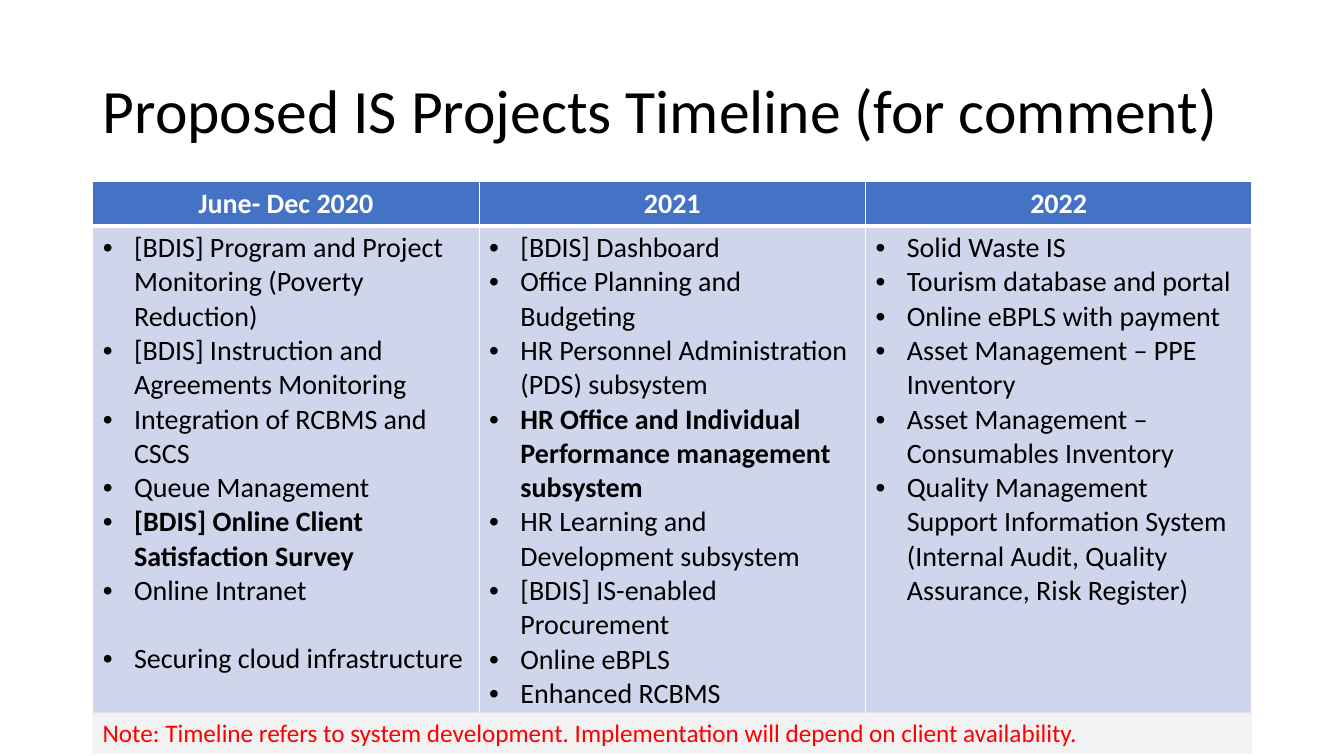
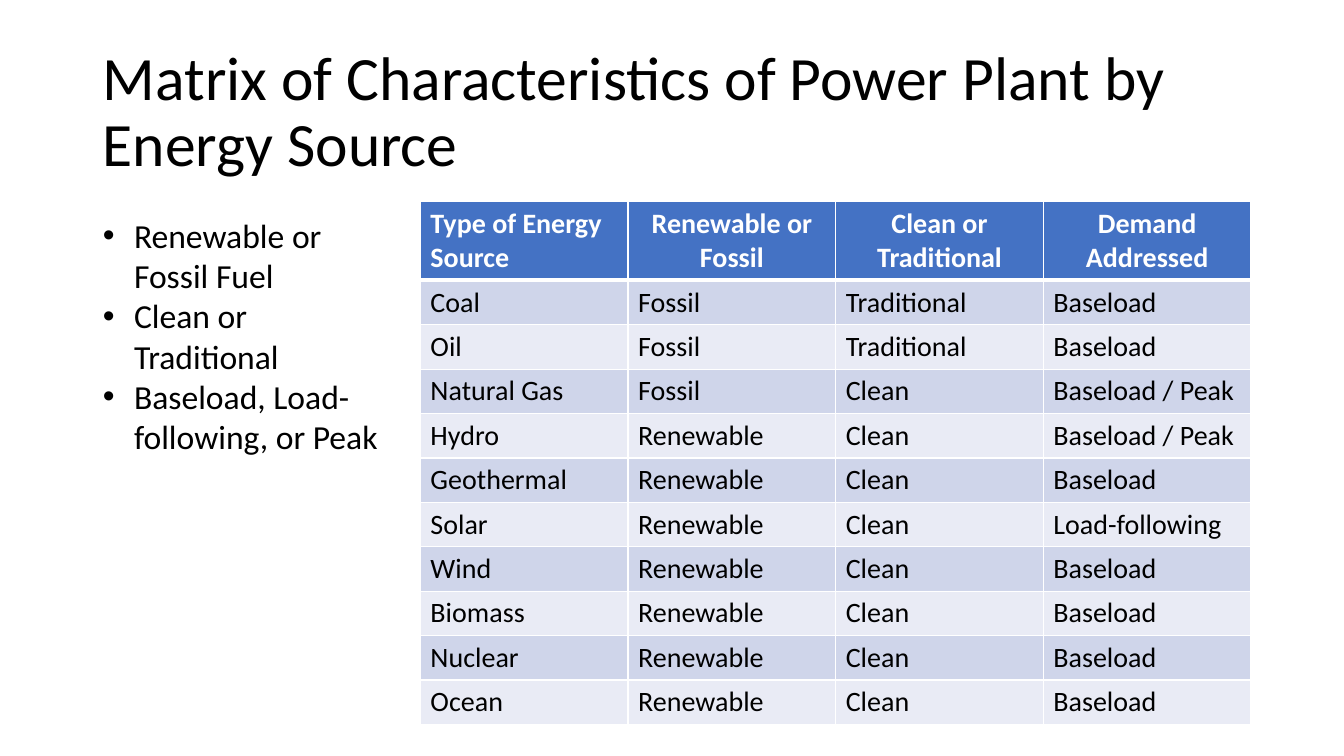
from lxml import etree
from pptx import Presentation
from pptx import util as u
from pptx.dml.color import RGBColor
from pptx.enum import shapes, text
from pptx.oxml import ns

BLACK = RGBColor(0x00, 0x00, 0x00)
WHITE = RGBColor(0xFF, 0xFF, 0xFF)
RED = RGBColor(0xFF, 0x00, 0x00)
BLUE = RGBColor(0x44, 0x72, 0xC4)
BANDS = (RGBColor(0xCF, 0xD5, 0xEA), RGBColor(0xE9, 0xEB, 0xF5))
NOTE_GREY = RGBColor(0xF2, 0xF2, 0xF2)

SLIDE_WIDTH = u.Inches(13.33)
SLIDE_HEIGHT = u.Inches(7.5)
MARGIN = 6.9
CONTENT_WIDTH = 86.25
TITLE_BOX = (MARGIN, 5.33, CONTENT_WIDTH, 19.33)
ROW = 5.87
HANG = u.Inches(0.31)

TITLE_TEXT = {"size": u.Pt(44), "color": BLACK}
HEADER_TEXT = {"size": u.Pt(20), "bold": True, "color": WHITE}
CELL_TEXT = {"size": u.Pt(20), "bold": False, "color": BLACK}
STRONG_TEXT = {**CELL_TEXT, "bold": True}
LIST_TEXT = {"size": u.Pt(24), "color": BLACK}
NOTE_TEXT = {"size": u.Pt(18), "color": RED}

LEFT = {"alignment": text.PP_ALIGN.LEFT}
CENTER = {"alignment": text.PP_ALIGN.CENTER}
TITLE_LINES = {**LEFT, "line_spacing": 0.9}
LIST_LINES = {**LEFT, "space_before": u.Pt(0), "line_spacing": 1.0}
AFTER_GAP = {**LEFT, "space_before": u.Pt(24)}

STRONG_PROJECTS = {
    "[BDIS] Online Client Satisfaction Survey",
    "HR Office and Individual Performance management subsystem",
}
SEPARATE_PROJECTS = {"Securing cloud infrastructure"}
TIMELINE = {
    "June- Dec 2020": [
        "[BDIS] Program and Project Monitoring (Poverty Reduction)",
        "[BDIS] Instruction and Agreements Monitoring",
        "Integration of RCBMS and CSCS",
        "Queue Management",
        "[BDIS] Online Client Satisfaction Survey",
        "Online Intranet",
        "Securing cloud infrastructure",
    ],
    "2021": [
        "[BDIS] Dashboard",
        "Office Planning and Budgeting",
        "HR Personnel Administration (PDS) subsystem",
        "HR Office and Individual Performance management subsystem",
        "HR Learning and Development subsystem",
        "[BDIS] IS-enabled Procurement",
        "Online eBPLS",
        "Enhanced RCBMS",
    ],
    "2022": [
        "Solid Waste IS",
        "Tourism database and portal",
        "Online eBPLS with payment",
        "Asset Management – PPE Inventory",
        "Asset Management – Consumables Inventory",
        "Quality Management Support Information System "
        "(Internal Audit, Quality Assurance, Risk Register)",
    ],
}
TIMELINE_NOTE = ("Note: Timeline refers to system development. "
                 "Implementation will depend on client availability.")

CHARACTERISTICS = ["Renewable or Fossil Fuel", "Clean or Traditional",
                   "Baseload, Load-following, or Peak"]
MATRIX_HEADERS = ["Type of Energy Source", "Renewable or Fossil",
                  "Clean or Traditional", "Demand Addressed"]
ENERGY_SOURCES = [
    ("Coal", "Fossil", "Traditional", "Baseload"),
    ("Oil", "Fossil", "Traditional", "Baseload"),
    ("Natural Gas", "Fossil", "Clean", "Baseload / Peak"),
    ("Hydro", "Renewable", "Clean", "Baseload / Peak"),
    ("Geothermal", "Renewable", "Clean", "Baseload"),
    ("Solar", "Renewable", "Clean", "Load-following"),
    ("Wind", "Renewable", "Clean", "Baseload"),
    ("Biomass", "Renewable", "Clean", "Baseload"),
    ("Nuclear", "Renewable", "Clean", "Baseload"),
    ("Ocean", "Renewable", "Clean", "Baseload"),
]


def across(percent):
    return round(SLIDE_WIDTH * percent / 100)


def down(percent):
    return round(SLIDE_HEIGHT * percent / 100)


def place(box):
    left, top, width, height = box
    return across(left), down(top), across(width), down(height)


def apply(target, values):
    for name, value in values.items():
        setattr(target, name, value)


def add_bullet(paragraph):
    properties = paragraph._p.get_or_add_pPr()
    properties.set("marL", str(HANG))
    properties.set("indent", str(-HANG))
    etree.SubElement(properties, ns.qn("a:buFont"), typeface="Arial")
    etree.SubElement(properties, ns.qn("a:buChar"), char="•")


def write(paragraph, wording, look, lines=LEFT, bullet=False):
    if bullet:
        add_bullet(paragraph)
    apply(paragraph, lines)
    run = paragraph.add_run()
    run.text = wording
    run.font.name = "Calibri"
    apply(run.font, {key: value for key, value in look.items() if key != "color"})
    run.font.color.rgb = look["color"]


def write_list(frame, items, look_of, lines_of):
    for index, item in enumerate(items):
        paragraph = frame.add_paragraph() if index else frame.paragraphs[0]
        write(paragraph, item, look_of(item), lines_of(item), bullet=True)


def position(shape, box):
    apply(shape, dict(zip(("left", "top", "width", "height"), place(box))))
    apply(shape.text_frame, {"word_wrap": True,
                             "auto_size": text.MSO_AUTO_SIZE.NONE})


def add_titled_slide(deck, layout, wording):
    slide = deck.slides.add_slide(deck.slide_layouts[layout])
    title = slide.shapes.title
    position(title, TITLE_BOX)
    title.text_frame.vertical_anchor = text.MSO_ANCHOR.MIDDLE
    write(title.text_frame.paragraphs[0], wording, TITLE_TEXT, TITLE_LINES)
    return slide


def paint_cell(cell, color, top, bottom):
    cell.fill.solid()
    cell.fill.fore_color.rgb = color
    properties = cell._tc.get_or_add_tcPr()
    borders = {"lnL": 1, "lnR": 1, "lnT": top, "lnB": bottom}
    for index, (edge, points) in enumerate(borders.items()):
        line = etree.Element(ns.qn(f"a:{edge}"), w=str(u.Pt(points)))
        fill = etree.SubElement(line, ns.qn("a:solidFill"))
        etree.SubElement(fill, ns.qn("a:srgbClr"), val=str(WHITE))
        properties.insert(index, line)


def add_banded_table(slide, box, headers, header_lines, header_height, body_rows):
    row_count = body_rows + 1
    table = slide.shapes.add_table(row_count, len(headers), *place(box)).table
    for column in table.columns:
        column.width = across(box[2] / len(headers))
    body_height = (box[3] - header_height) / body_rows
    for index, row in enumerate(table.rows):
        row.height = down(body_height if index else header_height)
        color = BANDS[(index - 1) % 2] if index else BLUE
        for cell in row.cells:
            paint_cell(cell, color, top=3 if index == 1 else 1,
                       bottom=1 if index else 3)
    for cell, header, lines in zip(table.rows[0].cells, headers, header_lines):
        write(cell.text_frame.paragraphs[0], header, HEADER_TEXT, lines)
    return table


def add_note(slide, box, wording):
    note = slide.shapes.add_shape(shapes.MSO_SHAPE.RECTANGLE, *place(box))
    note.shadow.inherit = False
    note.fill.solid()
    note.fill.fore_color.rgb = NOTE_GREY
    note.line.fill.background()
    apply(note.text_frame, {"word_wrap": True,
                            "vertical_anchor": text.MSO_ANCHOR.TOP})
    write(note.text_frame.paragraphs[0], wording, NOTE_TEXT)


def build_timeline(deck):
    slide = add_titled_slide(deck, 5, "Proposed IS Projects Timeline (for comment)")
    table = add_banded_table(slide, (MARGIN, 24, CONTENT_WIDTH, 70), list(TIMELINE),
                             [CENTER] * len(TIMELINE), ROW, 1)
    for cell, projects in zip(table.rows[1].cells, TIMELINE.values()):
        write_list(cell.text_frame, projects,
                   lambda item: STRONG_TEXT if item in STRONG_PROJECTS else CELL_TEXT,
                   lambda item: AFTER_GAP if item in SEPARATE_PROJECTS else LEFT)
    add_note(slide, (MARGIN, 94.27, CONTENT_WIDTH, 5.38), TIMELINE_NOTE)


def build_matrix(deck):
    slide = add_titled_slide(
        deck, 1, "Matrix of Characteristics of Power Plant by Energy Source")
    header_height = 10.4
    height = header_height + ROW * len(ENERGY_SOURCES)
    table = add_banded_table(slide, (31.28, 26.67, 61.8, height), MATRIX_HEADERS,
                             [LEFT, CENTER, CENTER, CENTER], header_height,
                             len(ENERGY_SOURCES))
    for row, source in zip(list(table.rows)[1:], ENERGY_SOURCES):
        for cell, value in zip(row.cells, source):
            write(cell.text_frame.paragraphs[0], value, CELL_TEXT)
    characteristics = slide.placeholders[1]
    position(characteristics, (MARGIN, 27.73, 22.8, 33.6))
    write_list(characteristics.text_frame, CHARACTERISTICS,
               lambda item: LIST_TEXT, lambda item: LIST_LINES)


def main():
    deck = Presentation()
    apply(deck, {"slide_width": SLIDE_WIDTH, "slide_height": SLIDE_HEIGHT})
    build_timeline(deck)
    build_matrix(deck)
    deck.save("out.pptx")


main()
